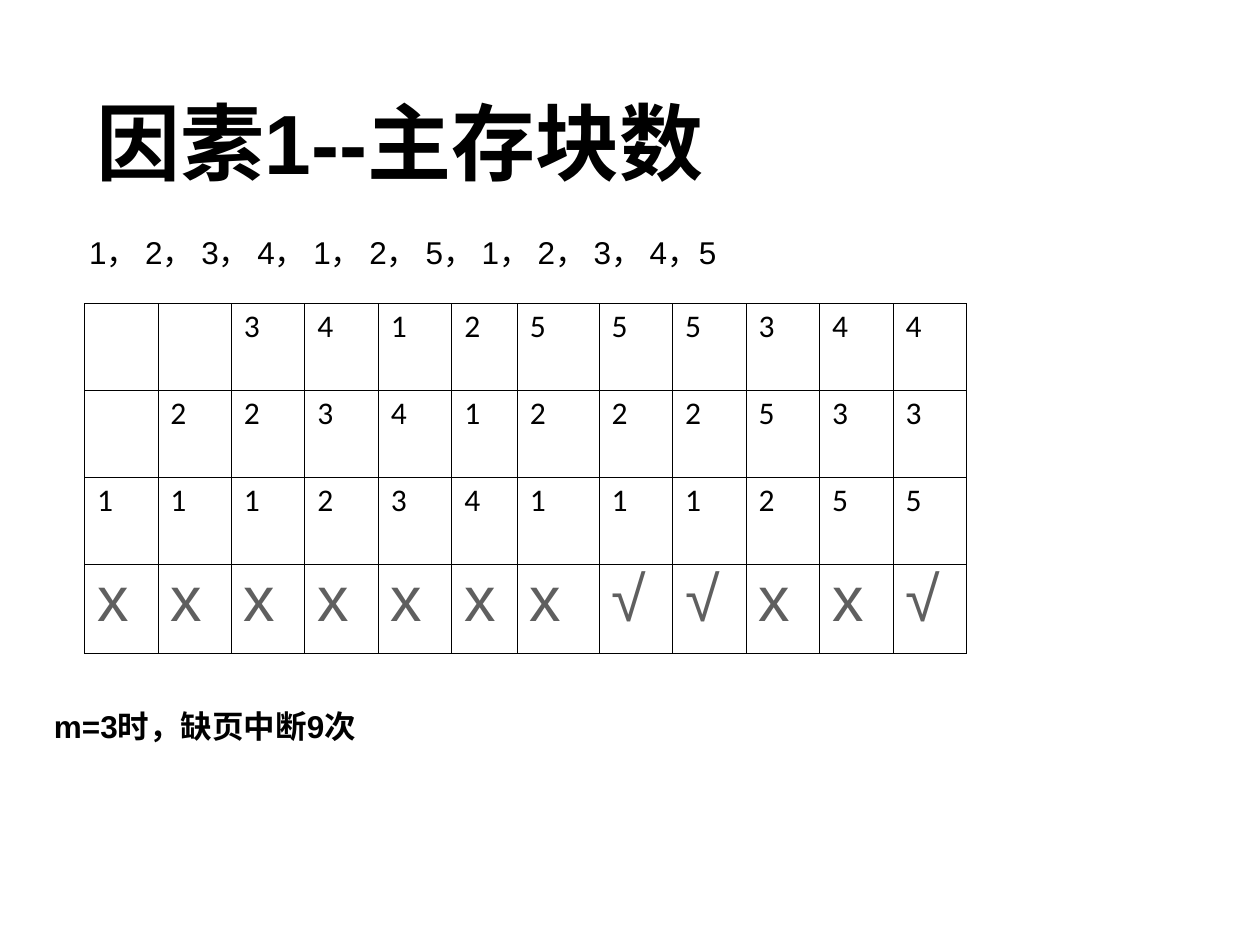
from lxml import etree
from pptx import Presentation
from pptx import util as u
from pptx.dml.color import RGBColor
from pptx.enum import text
from pptx.oxml.ns import qn

BLACK, GREY = "000000", "5F5F5F"


def add_run(paragraph, words, size, font="Arial", color=BLACK, bold=False):
    run = paragraph.add_run()
    run.text = words
    run.font.size = u.Pt(size)
    run.font.name = font
    run.font.bold = bold
    run.font.color.rgb = RGBColor.from_string(color)


def add_borders(cell):
    """Draw a thin black line on all four sides; call before any fill is set."""
    properties = cell._tc.get_or_add_tcPr()
    for side in ("lnL", "lnR", "lnT", "lnB"):
        line = etree.SubElement(properties, qn(f"a:{side}"), w=str(u.Pt(0.45)))
        fill = etree.SubElement(line, qn("a:solidFill"))
        etree.SubElement(fill, qn("a:srgbClr"), val=BLACK)


prs = Presentation()
prs.slide_width, prs.slide_height = u.Inches(10), u.Inches(7.5)
slide = prs.slides.add_slide(prs.slide_layouts[6])

# Title, page reference string and conclusion
lines = [
    ("因素1--主存块数", 0.67, 0.67, 8.5, 0.75, 48, True, 1),
    ("1， 2， 3， 4， 1， 2， 5， 1， 2， 3， 4，5", 0.61, 1.83, 8.8, 0.45, 18, False, 0.9),
    ("m=3时，缺页中断9次", 0.33, 5.56, 9.08, 0.45, 18, True, 1),
]
for words, left, top, width, height, size, bold, spacing in lines:
    box = slide.shapes.add_textbox(*map(u.Inches, (left, top, width, height)))
    frame = box.text_frame
    frame.word_wrap = True
    frame.vertical_anchor = text.MSO_ANCHOR.TOP
    paragraph = frame.paragraphs[0]
    paragraph.line_spacing = spacing
    add_run(paragraph, words, size, bold=bold)

# Contents of the three memory blocks after each reference, then miss or hit
block_rows = ["  3412555344", " 22341222533", "111234111255"]
result_row = "xxxxxxx√√xx√"
rows = block_rows + [result_row]

table_width = u.Inches(7)
frames = slide.shapes.add_table(
    len(rows), len(result_row), u.Inches(0.67), u.Inches(2.41), table_width, u.Inches(2.78)
).table
frames.first_row = frames.horz_banding = False
for column in frames.columns:
    column.width = table_width // len(result_row)
frames.columns[5].width = u.Inches(0.52)
frames.columns[6].width = u.Inches(0.65)

for r, row in enumerate(rows):
    is_result = row == result_row
    frames.rows[r].height = u.Inches(0.71 if is_result else 0.69)
    for c, mark in enumerate(row):
        cell = frames.cell(r, c)
        add_borders(cell)
        cell.fill.background()
        paragraph = cell.text_frame.paragraphs[0]
        paragraph.line_spacing = 0.9
        if is_result:
            add_run(paragraph, mark, 36, color=GREY)
        elif mark != " ":
            add_run(paragraph, mark, 18, font="Calibri")

prs.save("out.pptx")
